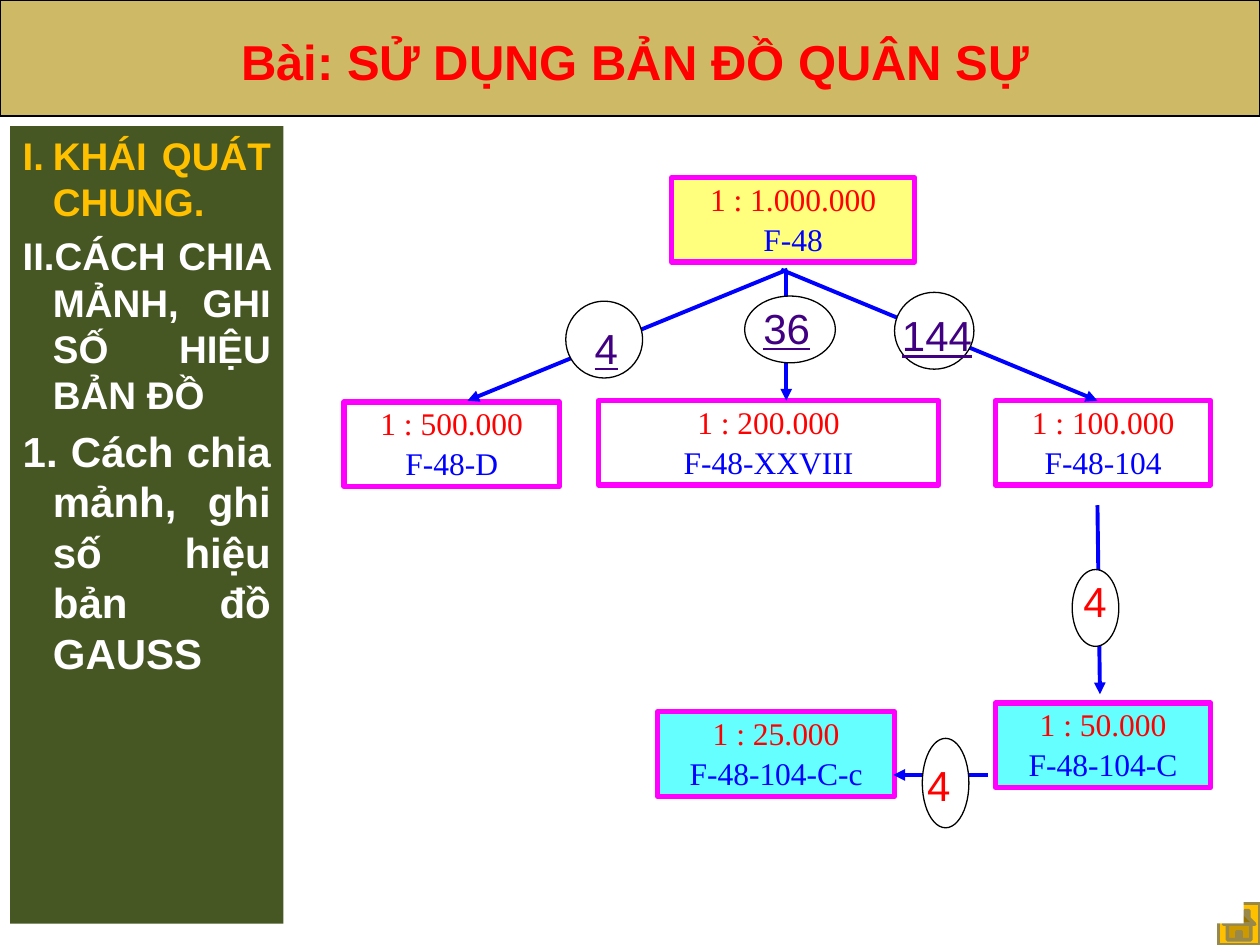
import pptx
import pptx.dml.color
import pptx.enum.shapes
import pptx.enum.text
import pptx.oxml
import pptx.oxml.ns
import pptx.util
import lxml.etree

KIND = pptx.enum.shapes.MSO_SHAPE
ALIGN = pptx.enum.text.PP_ALIGN
ANCHOR = pptx.enum.text.MSO_ANCHOR
NS = pptx.oxml.ns.nsdecls("a")
qn = pptx.oxml.ns.qn


def paint(target, colour):
    if hasattr(target, "solid"):
        target.solid()
        target = target.fore_color
    target.rgb = pptx.dml.color.RGBColor.from_string(colour)


def write(shape, text, font="Arial", size=24, colour="FF0000", bold=False, underline=False,
          align=ALIGN.LEFT, anchor=ANCHOR.TOP, before=0, spacing=1.0, numbering=None):
    frame = shape.text_frame
    frame.word_wrap = True
    frame.auto_size = pptx.enum.text.MSO_AUTO_SIZE.NONE
    frame.vertical_anchor = anchor
    paragraph = frame.add_paragraph() if frame.text else frame.paragraphs[0]
    if numbering:
        properties = paragraph._p.get_or_add_pPr()
        properties.set("marL", str(pptx.util.Inches(0.24)))
        properties.set("indent", str(-pptx.util.Inches(0.24)))
        lxml.etree.SubElement(properties, qn("a:buFont"), typeface="+mj-lt")
        lxml.etree.SubElement(properties, qn("a:buAutoNum"), type=numbering)
    paragraph.alignment = align
    paragraph.space_before = pptx.util.Pt(before)
    paragraph.space_after = pptx.util.Pt(0)
    paragraph.line_spacing = spacing
    run = paragraph.add_run()
    run.text = text
    run.font.name = font
    run.font.size = pptx.util.Pt(size)
    run.font.bold = bold
    run.font.underline = underline
    paint(run.font.color, colour)
    return run


deck = pptx.Presentation()
deck.slide_width = pptx.util.Inches(10)
deck.slide_height = pptx.util.Inches(7.5)
cell = deck.slide_width // 100
slide = deck.slides.add_slide(deck.slide_layouts[1])
shapes = slide.shapes
lesson, outline = slide.placeholders

boxes = [
    (53.3, 14.1, 19.3, "FFFF7D", "1 : 1.000.000", "F-48"),
    (27.3, 31.9, 17.1, "FFFFFF", "1 : 500.000", "F-48-D"),
    (47.5, 31.8, 27, "FFFFFF", "1 : 200.000", "F-48-XXVIII"),
    (79, 31.8, 17.1, "FFFFFF", "1 : 100.000", "F-48-104"),
    (79, 55.8, 17.1, "66FFFF", "1 : 50.000", "F-48-104-C"),
    (52.2, 56.5, 18.8, "66FFFF", "1 : 25.000", "F-48-104-C-c"),
]
arrows = [
    (62.5, 21.4, 37.1, 31.8),
    (62.4, 21.5, 62.4, 31.8),
    (62, 21.4, 87.1, 31.8),
    (87.1, 40.1, 87.3, 55.1),
    (78.4, 61.5, 70.9, 61.5),
]
counts = [
    ("4", 44.9, 23.9, 6.1, 6.1, 46.2, 25.1, "410082"),
    ("36", 59.1, 23.5, 7.2, 5.3, 59.6, 23.5, "410082"),
    ("144", 71, 23.2, 6.3, 6.1, 70.6, 24.1, "410082"),
    ("4", 85.1, 45.2, 3.7, 6.1, 85, 45.2, "FF0000"),
    ("4", 73.2, 58.6, 3.7, 7.1, 72.6, 59.8, "FF0000"),
]

panels = [
    (KIND.ACTION_BUTTON_HOME, 96.7, 71.7, 3.3, 3.3, "FFC000", "98894B", 2),
    (KIND.RECTANGLE, 0, 0, 100, 9.2, "CEB966", "000000", 0.75),
    (KIND.RECTANGLE, 23.8, 10, 74.9, 63.3, "FFFFFF", None, 0),
]
panels += [(KIND.RECTANGLE, left, top, width, 6.7, fill, "FF00FF", 3)
           for left, top, width, fill, scale, sheet in boxes]
panels += [(KIND.OVAL, left, top, width, height, "FFFFFF", "000000", 0.75)
           for count, left, top, width, height, *label in counts]

drawn = []
for kind, left, top, width, height, fill, edge, weight in panels:
    panel = shapes.add_shape(kind, *(int(n * cell) for n in (left, top, width, height)))
    panel.shadow.inherit = False
    paint(panel.fill, fill)
    if edge:
        paint(panel.line.fill, edge)
        panel.line.width = pptx.util.Pt(weight)
    else:
        panel.line.fill.background()
    drawn.append(panel)

for box, (*place, scale, sheet) in zip(drawn[3:], boxes):
    write(box, scale, font="Times New Roman", size=18, align=ALIGN.CENTER, spacing=0.9)
    write(box, sheet, font="Times New Roman", size=18, colour="0000FF",
          align=ALIGN.CENTER, spacing=0.9, before=3.7)

first_oval = drawn[3 + len(boxes)]
for ends in arrows:
    arrow = shapes.add_connector(pptx.enum.shapes.MSO_CONNECTOR.STRAIGHT,
                                 *(int(n * cell) for n in ends))
    paint(arrow.line.fill, "0000FF")
    arrow.line.width = pptx.util.Pt(2.25)
    lxml.etree.SubElement(arrow.line._get_or_add_ln(), qn("a:tailEnd"), type="triangle")
    lxml.etree.SubElement(arrow._element.spPr, qn("a:effectLst"))
    first_oval._element.addprevious(arrow._element)

for count, *oval, left, top, colour in counts:
    label = shapes.add_textbox(int(left * cell), int(top * cell), int(8.2 * cell), 5 * cell)
    write(label, count, colour=colour, underline=colour == "410082")

lesson.left, lesson.top = 10 * cell, int(2.2 * cell)
lesson.width, lesson.height = int(80.8 * cell), int(5.3 * cell)
heading = write(lesson, "Bài: SỬ DỤNG BẢN ĐỒ QUÂN SỰ", size=28, bold=True,
                align=ALIGN.CENTER, anchor=ANCHOR.MIDDLE)
heading.font._element.find(qn("a:solidFill")).addnext(pptx.oxml.parse_xml(
    f'<a:effectLst {NS}><a:outerShdw blurRad="38100" dist="38100" dir="2700000">'
    '<a:srgbClr val="000000"><a:alpha val="43000"/></a:srgbClr></a:outerShdw></a:effectLst>'))
drawn[1]._element.addnext(lesson._element)

outline.left, outline.top = int(0.8 * cell), 10 * cell
outline.width, outline.height = int(21.7 * cell), int(63.3 * cell)
paint(outline.fill, "465723")
for topic, size, colour, numbering, before in [
    ("KHÁI QUÁT CHUNG.", 22, "FFC000", "romanUcPeriod", 0),
    ("CÁCH CHIA MẢNH, GHI SỐ HIỆU BẢN ĐỒ", 22, "FFFFFF", "romanUcPeriod", 4.4),
    (" Cách chia mảnh, ghi số hiệu bản đồ GAUSS", 24, "FFFFFF", "arabicPeriod", 4.8),
]:
    write(outline, topic, size=size, colour=colour, bold=True, align=ALIGN.JUSTIFY,
          before=before, numbering=numbering)

deck.save("out.pptx")
